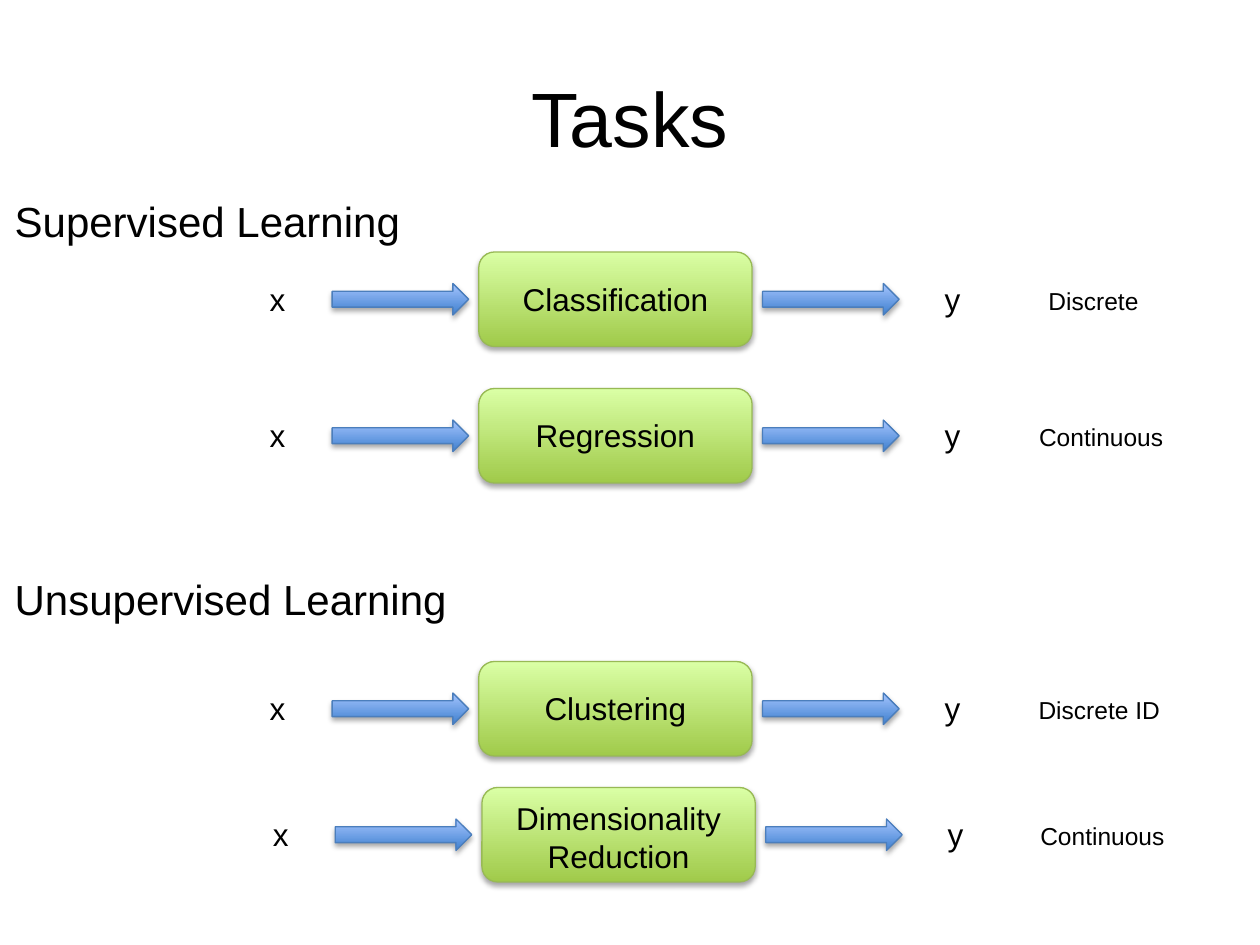
"""Build a slide of supervised and unsupervised learning tasks."""
from lxml.etree import SubElement
from pptx import Presentation
from pptx.dml.color import RGBColor
from pptx.enum.shapes import MSO_SHAPE as SHAPE
from pptx.enum.text import MSO_ANCHOR as ANCHOR, MSO_AUTO_SIZE as FIT, PP_ALIGN as ALIGN
from pptx.oxml.ns import qn
from pptx.util import Pt

THEME = {
    "font": "Arial",
    "text": "000000",
    "shadow": "000000",
    "box": {"bottom": "A0CA4A", "top": "DAFFA5", "line": "98B955"},
    "arrow": {"bottom": "3F80CE", "top": "A4C4FF", "line": "4B7EBC"},
    "title": 44, "heading": 24, "label": 18, "output": 14,
}

prs = Presentation()
prs.slide_width, prs.slide_height = Pt(720), Pt(540)
s = prs.slides.add_slide(prs.slide_layouts[6])


def add_text(text, size, x, y, w, h, wrap=False, fit=FIT.SHAPE_TO_FIT_TEXT, anchor=ANCHOR.TOP):
    tf = s.shapes.add_textbox(Pt(x), Pt(y), Pt(w), Pt(h)).text_frame
    for name, value in {"word_wrap": wrap, "auto_size": fit, "vertical_anchor": anchor}.items():
        setattr(tf, name, value)
    p = tf.paragraphs[0]
    p.text, p.alignment = text, ALIGN.CENTER
    for r in p.runs:
        for name, value in {"name": THEME["font"], "size": Pt(THEME[size])}.items():
            setattr(r.font, name, value)
        r.font.color.rgb = RGBColor.from_string(THEME["text"])


def add_shape(kind, style, x, y, w, h):
    sp = s.shapes.add_shape(kind, Pt(x), Pt(y), Pt(w), Pt(h))
    colors = THEME[style]
    sp.fill.gradient()
    sp.fill.gradient_angle = 90
    for stop, position, edge in zip(sp.fill.gradient_stops, (0, 1), ("bottom", "top")):
        stop.position = position
        stop.color.rgb = RGBColor.from_string(colors[edge])
    sp.line.color.rgb = RGBColor.from_string(colors["line"])
    sp.line.width = Pt(0.75)
    sp.shadow.inherit = False
    effects = sp._element.spPr.find(qn("a:effectLst"))
    shadow = SubElement(effects, qn("a:outerShdw"), blurRad=str(Pt(3.1)), dist=str(Pt(1.8)),
                        dir="5400000", rotWithShape="0")
    color = SubElement(shadow, qn("a:srgbClr"), val=THEME["shadow"])
    SubElement(color, qn("a:alpha"), val="35000")


add_text("Tasks", "title", 36, 21.6, 648, 90, wrap=True, fit=FIT.NONE, anchor=ANCHOR.MIDDLE)

TASKS = [
    ("Classification", 144, 0, 12.3, 29, "Discrete", 591.8, 66.2),
    ("Regression", 222, 0, 12.3, 29, "Continuous", 586.1, 86.4),
    ("Clustering", 378, 0, 12.3, 29, "Discrete ID", 586.1, 84.2),
    ("Dimensionality\vReduction", 450, 1.8, 3, 51, "Continuous", 586.8, 86.4),
]
for task, y, shift, label_gap, label_h, output, output_x, output_w in TASKS:
    add_shape(SHAPE.ROUNDED_RECTANGLE, "box", 273.6 + shift, y, 156.2, 54)
    add_text(task, "label", 273.6 + shift, y + label_gap, 156.2, label_h, wrap=True)
    for x in (189.8, 435.8):
        add_shape(SHAPE.RIGHT_ARROW, "arrow", x + shift, y + 18, 78, 18)
    for variable, x, w in (("x", 146.7, 23.8), ("y", 532, 24.5)):
        add_text(variable, "label", x + shift, y + 12.3, w, 29)
    add_text(output, "output", output_x, y + 15.8, output_w, 24.5)

for heading, y, w in (("Supervised Learning", 108, 236.9), ("Unsupervised Learning", 324, 263.5)):
    add_text(heading, "heading", 0, y, w, 36)

prs.save("out.pptx")
